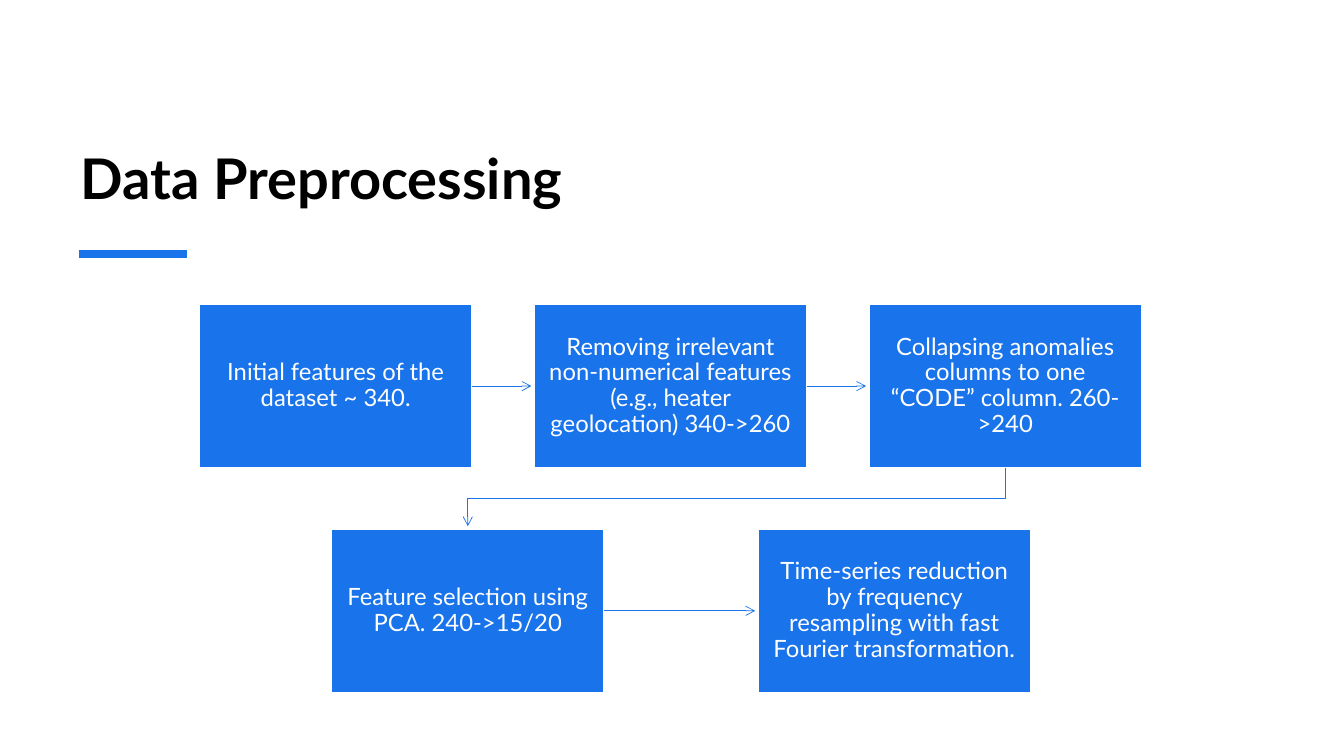
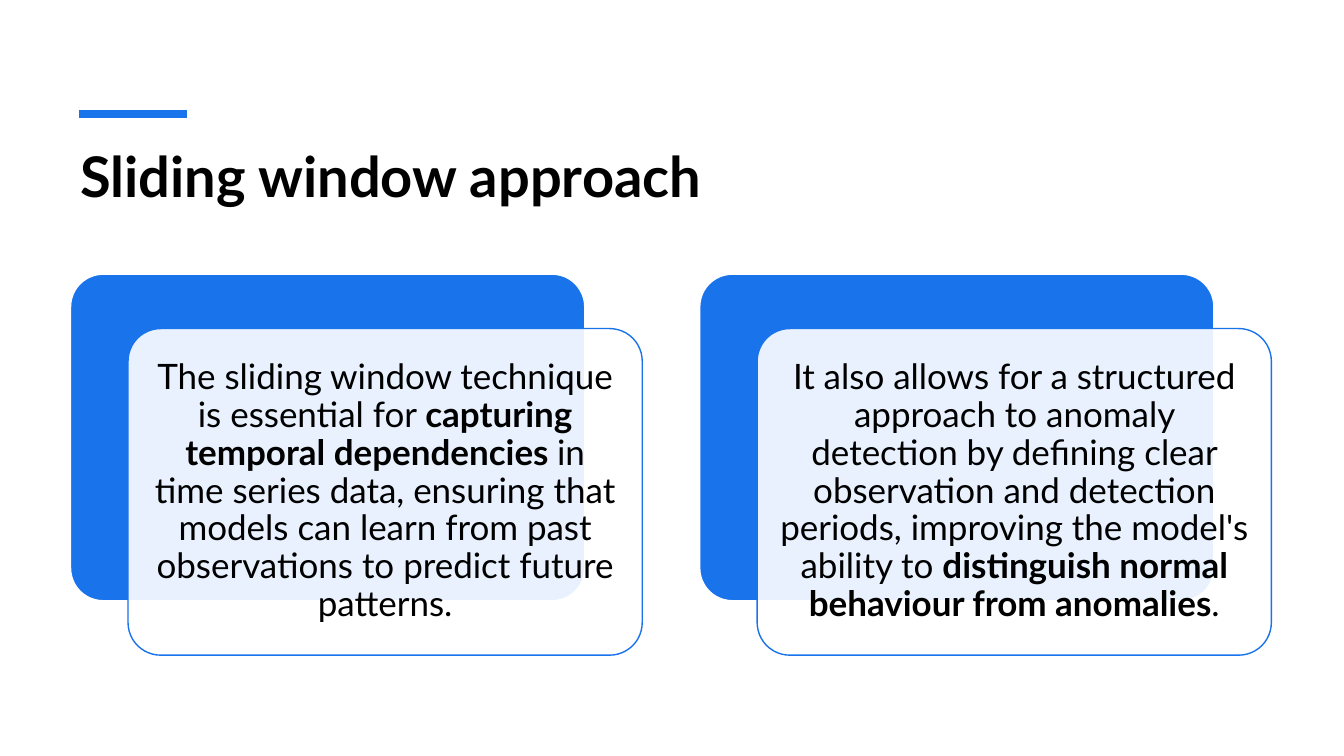
"""Build two slides on data preprocessing and the sliding window approach."""
from lxml.etree import SubElement
from pptx import Presentation
from pptx.dml.color import RGBColor
from pptx.enum.shapes import MSO_CONNECTOR, MSO_SHAPE
from pptx.enum.text import MSO_ANCHOR, PP_ALIGN
from pptx.oxml.ns import qn
from pptx.util import Inches, Pt

FONT = "Lato"
BLUE, WHITE, BLACK = "1973EB", "FFFFFF", "000000"
STEP_W, STEP_H, STEP_GAP = 2.7, 1.62, 0.03
CARD_W, CARD_H, CARD_PITCH = 5.1, 3.24, 6.24
CARD_SHIFT_X, CARD_SHIFT_Y = 0.57, 0.54

STEP_ROWS = [
    (1.98, 3.02, 3.32, [
        "Initial features of the dataset ~ 340.",
        "Removing irrelevant non-numerical features (e.g., heater geolocation) 340->260",
        "Collapsing anomalies columns to one “CODE” column. 260->240",
    ]),
    (3.29, 5.25, 4.23, [
        "Feature selection using PCA. 240->15/20",
        "Time-series reduction by frequency resampling with fast Fourier transformation.",
    ]),
]
CARDS = [
    [("The sliding window technique is essential for ", False),
     ("capturing temporal dependencies ", True),
     ("in time series data, ensuring that models can learn from past "
      "observations to predict future patterns.", False)],
    [("It also allows for a structured approach to anomaly detection by defining "
      "clear observation and detection periods, improving the model's ability to ", False),
     ("distinguish normal behaviour from anomalies", True),
     (".", False)],
]


def rgb(color):
    """Turn a hex string into a colour."""
    return RGBColor.from_string(color)


def style_font(font, size, color):
    """Set the shared typeface with a size and colour."""
    font.name, font.size = FONT, Pt(size)
    font.color.rgb = rgb(color)


def style_line(line, color, width):
    """Set a line's colour and width."""
    line.color.rgb = rgb(color)
    line.width = Pt(width)


def add_arrowhead(arrow):
    """Put an open arrowhead at the end of a line."""
    SubElement(arrow._element.spPr.find(qn("a:ln")), qn("a:tailEnd"), type="arrow")


def add_line(slide, start, end, width):
    """Draw a straight blue line."""
    line = slide.shapes.add_connector(
        MSO_CONNECTOR.STRAIGHT, *(Inches(value) for value in (*start, *end)))
    style_line(line.line, BLUE, width)
    SubElement(line._element.spPr, qn("a:effectLst"))
    return line


def add_bent_arrow(slide, points):
    """Draw an open arrow along right-angled points."""
    corners = [(Inches(x), Inches(y)) for x, y in points]
    builder = slide.shapes.build_freeform(*corners[0])
    builder.add_line_segments(corners[1:], close=False)
    arrow = builder.convert_to_shape()
    arrow.shadow.inherit = False
    arrow.fill.background()
    style_line(arrow.line, BLUE, 0.5)
    add_arrowhead(arrow)


def add_title(slide, text, top, height, anchor, accent_y):
    """Add the slide title and its short accent bar."""
    title = slide.shapes.add_textbox(
        Inches(0.7), Inches(top), Inches(11.91), Inches(height))
    frame = title.text_frame
    frame.word_wrap, frame.vertical_anchor = True, anchor
    paragraph = frame.paragraphs[0]
    paragraph.text = text
    style_font(paragraph.font, 40, BLACK)
    paragraph.font.bold = True
    add_line(slide, (0.78, accent_y), (1.85, accent_y), 6)


def add_panel(slide, preset, left, top, width, height, fill, outline):
    """Add a filled and outlined shape."""
    panel = slide.shapes.add_shape(
        preset, Inches(left), Inches(top), Inches(width), Inches(height))
    panel.shadow.inherit = False
    panel.fill.solid()
    panel.fill.fore_color.rgb = rgb(fill)
    style_line(panel.line, outline, 1)
    return panel


def write_centered(panel, runs, size, color, inset):
    """Write centred runs, each with its own boldness."""
    frame = panel.text_frame
    frame.word_wrap, frame.vertical_anchor = True, MSO_ANCHOR.MIDDLE
    frame.margin_left = frame.margin_right = Inches(inset)
    frame.margin_top = frame.margin_bottom = Inches(inset)
    paragraph = frame.paragraphs[0]
    paragraph.alignment, paragraph.line_spacing = PP_ALIGN.CENTER, 0.9
    style_font(paragraph.font, size, color)
    for text, bold in runs:
        run = paragraph.add_run()
        run.text, run.font.bold = text, bold


def add_step_row(slide, left, top, pitch, steps):
    """Add a row of process steps joined by arrows."""
    for index, text in enumerate(steps):
        x, middle = left + index * pitch, top + STEP_H / 2
        if index:
            add_arrowhead(add_line(
                slide, (x - pitch + STEP_W, middle), (x - STEP_GAP, middle), 0.5))
        step = add_panel(slide, MSO_SHAPE.RECTANGLE, x, top, STEP_W, STEP_H, BLUE, WHITE)
        write_centered(step, [(text, False)], 17, WHITE, 0.13)


def add_card(slide, left, top, runs):
    """Add a blue card with a translucent text card over it."""
    front_at = left + CARD_SHIFT_X, top + CARD_SHIFT_Y
    back, front = (
        add_panel(slide, MSO_SHAPE.ROUNDED_RECTANGLE, *at, CARD_W, CARD_H, fill, outline)
        for at, fill, outline in (((left, top), BLUE, WHITE), (front_at, WHITE, BLUE)))
    for card in (back, front):
        card.adjustments[0] = 0.1
    fill_color = front._element.spPr.find(qn("a:solidFill")).find(qn("a:srgbClr"))
    SubElement(fill_color, qn("a:alpha"), val="90000")
    write_centered(front, runs, 25, BLACK, 0.1)


def build_preprocessing(slide):
    """Lay out the preprocessing steps in two linked rows."""
    add_title(slide, "Data Preprocessing", 1.2, 0.94, MSO_ANCHOR.BOTTOM, 2.52)
    for row in STEP_ROWS:
        add_step_row(slide, *row)
    (left, top, pitch, steps), (next_left, next_top, _, _) = STEP_ROWS
    start_x = left + (len(steps) - 1) * pitch + STEP_W / 2
    end_x = next_left + STEP_W / 2
    bottom = top + STEP_H
    bend = (bottom + next_top) / 2
    add_bent_arrow(slide, [(start_x, bottom), (start_x, bend),
                           (end_x, bend), (end_x, next_top - STEP_GAP)])


def build_sliding_window(slide):
    """Lay out the two sliding window cards."""
    add_title(slide, "Sliding window approach", 1.36, 1.2, MSO_ANCHOR.TOP, 1.13)
    for index, runs in enumerate(CARDS):
        add_card(slide, 0.7 + index * CARD_PITCH, 2.72, runs)


def main():
    """Build and save the presentation."""
    deck = Presentation()
    deck.slide_width, deck.slide_height = Inches(13.33), Inches(7.5)
    for build in (build_preprocessing, build_sliding_window):
        build(deck.slides.add_slide(deck.slide_layouts[6]))
    deck.save("out.pptx")


if __name__ == "__main__":
    main()
